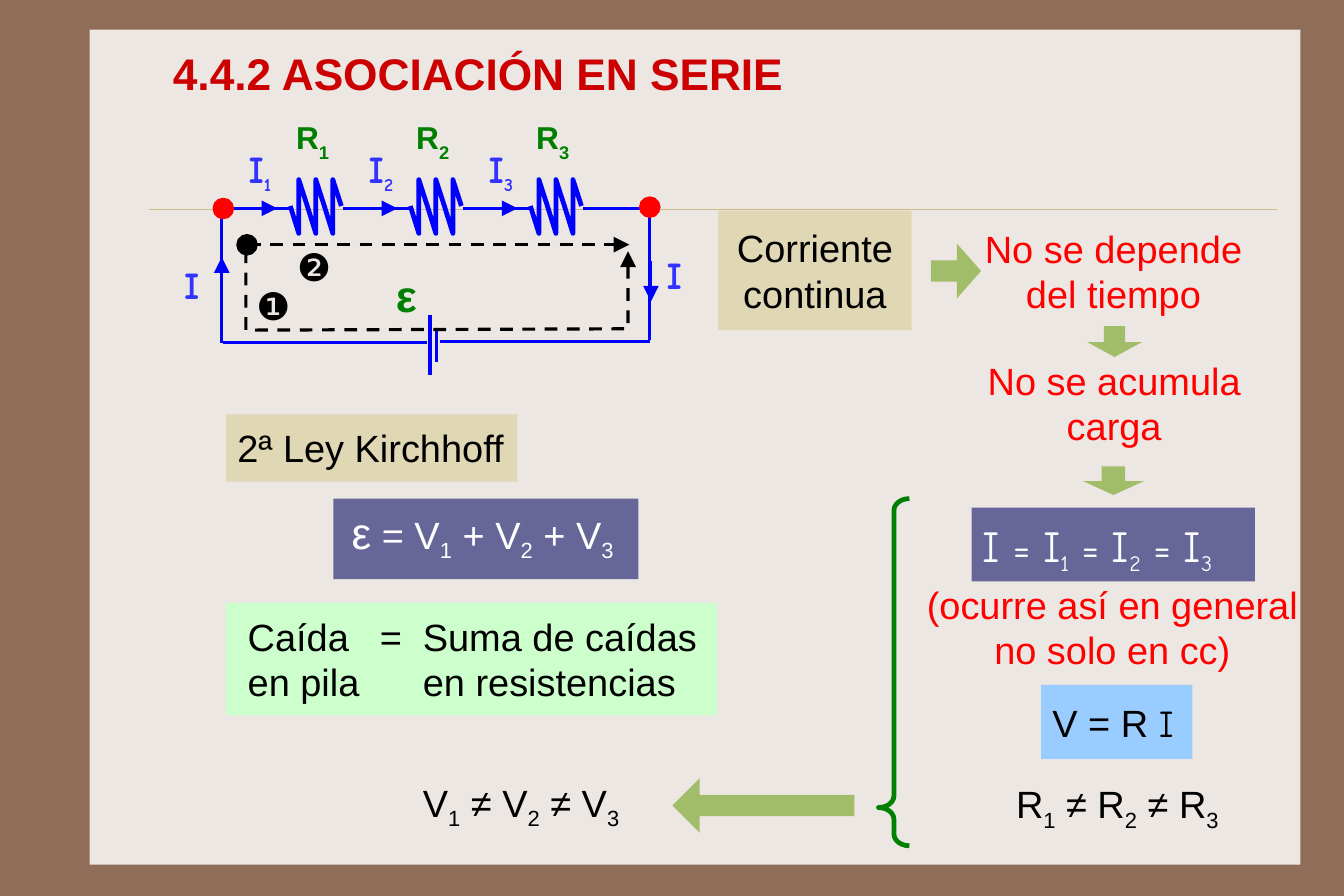
from dataclasses import dataclass
from typing import Optional

from lxml.etree import SubElement
from pptx import Presentation
from pptx.dml.color import RGBColor
from pptx.enum.dml import MSO_LINE_DASH_STYLE as Dash
from pptx.enum.shapes import MSO_CONNECTOR, MSO_SHAPE as Preset
from pptx.enum.text import MSO_ANCHOR as Anchor, MSO_AUTO_SIZE as AutoSize, PP_ALIGN as Align
from pptx.oxml.ns import qn
from pptx.util import Cm, Pt

BROWN = RGBColor(0x90, 0x6D, 0x58)
CREAM = RGBColor(0xED, 0xE7, 0xE3)
GOLD = RGBColor(0xCB, 0xBD, 0x83)
SAND = RGBColor(0xE0, 0xD7, 0xB5)
CRIMSON = RGBColor(0xCC, 0x00, 0x00)
RED = RGBColor(0xFF, 0x00, 0x00)
BLUE = RGBColor(0x00, 0x00, 0xFF)
CURRENT_BLUE = RGBColor(0x33, 0x33, 0xFF)
SKY = RGBColor(0x99, 0xCC, 0xFF)
SLATE = RGBColor(0x66, 0x66, 0x99)
MINT = RGBColor(0xCC, 0xFF, 0xCC)
OLIVE = RGBColor(0xA1, 0xBD, 0x69)
GREEN = RGBColor(0x00, 0x80, 0x00)
BLACK = RGBColor(0x00, 0x00, 0x00)
WHITE = RGBColor(0xFF, 0xFF, 0xFF)

SANS, COMIC = "Arial", "Comic Neue"
PITCH = 2.68  # distance between resistors
TOP_WIRE = 4.65


@dataclass
class Run:
    text: str
    size: int = 24
    face: str = SANS
    baseline: int = 0


@dataclass
class Label:
    box: tuple
    lines: list
    color: RGBColor = BLACK
    fill: Optional[RGBColor] = None
    bold: bool = False
    align: Align = Align.LEFT
    anchor: Anchor = Anchor.TOP
    wrap: bool = False
    grow: bool = True
    insets: tuple = (0.25, 0.23, 0.25, 0.23)
    tabs: tuple = ()


@dataclass
class Wire:
    start: tuple
    end: tuple
    color: RGBColor = BLUE
    width: float = 2
    arrow: bool = False
    dashed: bool = False


@dataclass
class Block:
    preset: Preset
    box: tuple
    adjustments: tuple


def terms(symbol: str, sign: str, size: int = 24, face: str = SANS) -> list:
    """Runs for a symbol with subscripts 1 to 3, joined by a sign."""
    runs = []
    for number in "123":
        if runs:
            runs.append(Run(f" {sign} ", 24, face))
        runs += [Run(symbol, size, face), Run(number, 24, face, -25000)]
    return runs


def write(frame, label: Label) -> None:
    left, top, right, bottom = map(Cm, label.insets)
    layout = dict(margin_left=left, margin_top=top, margin_right=right, margin_bottom=bottom,
                  word_wrap=label.wrap, vertical_anchor=label.anchor,
                  auto_size=AutoSize.SHAPE_TO_FIT_TEXT if label.grow else AutoSize.NONE)
    for name, value in layout.items():
        setattr(frame, name, value)
    for index, (line, tab) in enumerate(zip(label.lines, label.tabs or [()] * len(label.lines))):
        paragraph = frame.add_paragraph() if index else frame.paragraphs[0]
        paragraph.alignment = label.align
        if tab:
            stops = SubElement(paragraph._p.get_or_add_pPr(), qn("a:tabLst"))
            for position in tab:
                SubElement(stops, qn("a:tab"), pos=str(Cm(position)), algn="l")
        for part in line:
            run = paragraph.add_run()
            run.text = part.text
            for name, value in dict(name=part.face, size=Pt(part.size), bold=label.bold).items():
                setattr(run.font, name, value)
            run.font.color.rgb = label.color
            if part.baseline:
                run._r.get_or_add_rPr().set("baseline", str(part.baseline))


def add_label(slide, label: Label) -> None:
    if label.fill is None:
        shape = slide.shapes.add_textbox(*map(Cm, label.box))
    else:
        shape = add_filled(slide, Preset.RECTANGLE, label.box, label.fill)
    write(shape.text_frame, label)


def add_filled(slide, preset: Preset, box: tuple, color: RGBColor):
    shape = slide.shapes.add_shape(preset, *map(Cm, box))
    shape.shadow.inherit = False
    shape.fill.solid()
    shape.fill.fore_color.rgb = color
    shape.line.fill.background()
    return shape


def style_line(shape, color: RGBColor, width: float, arrow: bool = False, dashed: bool = False) -> None:
    shape.line.color.rgb = color
    shape.line.width = Pt(width)
    if dashed:
        shape.line.dash_style = Dash.DASH
    if arrow:
        SubElement(shape.element.spPr.find(qn("a:ln")), qn("a:tailEnd"), type="triangle", w="lg", len="lg")


def add_wire(slide, wire: Wire) -> None:
    connector = slide.shapes.add_connector(MSO_CONNECTOR.STRAIGHT, *map(Cm, wire.start + wire.end))
    style_line(connector, wire.color, wire.width, wire.arrow, wire.dashed)
    SubElement(connector.element.spPr, qn("a:effectLst"))


def add_polyline(slide, points: list):
    (x, y), *rest = [(Cm(x), Cm(y)) for x, y in points]
    builder = slide.shapes.build_freeform(x, y)
    builder.add_line_segments(rest, close=False)
    shape = builder.convert_to_shape()
    shape.shadow.inherit = False
    shape.fill.background()
    return shape


def add_resistor(slide, left: float) -> None:
    points = [(left, 4.6)]
    for tooth in range(3):
        x = left + 0.38 * tooth
        points += [(x + 0.19, 5.21), (x + 0.19, 4.01), (x + 0.38, 4.6)]
    style_line(add_polyline(slide, points), BLUE, 3)


def add_circuit(slide) -> None:
    wires = [Wire((9.75, 7.34), (9.75, 8.08)), Wire((9.6, 7.04), (9.6, 8.38)),
             Wire((14.5, 7.62), (9.83, 7.62)), Wire((9.53, 7.65), (4.97, 7.65)),
             Wire((4.95, TOP_WIRE), (4.95, 7.65)), Wire((14.5, 4.6), (14.5, 7.6)),
             Wire((14.53, 5.82), (14.53, 6.73), width=1, arrow=True),
             Wire((4.95, 6.65), (4.95, 5.74), width=1, arrow=True),
             Wire((5.54, 5.46), (14.05, 5.46), BLACK, arrow=True, dashed=True)]
    for segment in range(4):
        left = 4.98 + PITCH * segment
        wires.append(Wire((left, TOP_WIRE), (left + 1.5, TOP_WIRE)))
    for index in range(3):
        shift = PITCH * index
        wires.append(Wire((5.26 + shift, TOP_WIRE), (6.19 + shift, TOP_WIRE), width=1, arrow=True))
        add_resistor(slide, 6.48 + shift)
        number = str(index + 1)
        add_label(slide, Label((6.36 + shift, 2.51, 1.4, 1.45),
                               [[Run("R", 20), Run(number, 20, SANS, -30000)]], GREEN,
                               bold=True, grow=False, insets=(0.25, 0.13, 0.25, 0.13)))
        add_label(slide, Label((5.3 + shift, 3.02, 1.09, 1.47),
                               [[Run("I", 24, COMIC), Run(number, 20, COMIC, -25000)]],
                               CURRENT_BLUE, bold=True, grow=False))
    for wire in wires:
        add_wire(slide, wire)
    for left, top in ((3.86, 5.61), (14.63, 5.38)):
        add_label(slide, Label((left, top, 0.84, 1.47), [[Run("I", 24, COMIC)]],
                               CURRENT_BLUE, bold=True, grow=False))
    add_label(slide, Label((8.59, 6.07, 0.94, 1.02), [[Run("ε", 28)]], GREEN, bold=True, grow=False,
                           anchor=Anchor.MIDDLE, insets=(0.25, 0.13, 0.25, 0.13)))
    lower_path = add_polyline(slide, [(5.49, 5.59), (5.49, 7.37), (14.02, 7.34), (14.02, 5.61)])
    style_line(lower_path, BLACK, 2, arrow=True, dashed=True)
    for left, top, color in ((14.3, 4.42, RED), (4.78, 4.45, RED), (5.31, 5.26, BLACK)):
        node = add_filled(slide, Preset.OVAL, (left, top, 0.41, 0.41), color)
        style_line(node, color, 2)


CENTRED = dict(align=Align.CENTER, wrap=True)
LABELS = [
    Label((22.43, 17.2, 5.13, 1.47), [terms("R", "≠")]),
    Label((23.24, 15.29, 3.38, 1.65), [[Run("V = R "), Run("I", 24, COMIC)]], fill=SKY, anchor=Anchor.MIDDLE),
    Label((9.19, 17.17, 5, 1.47), [terms("V", "≠")]),
    Label((21.69, 11.33, 6.32, 1.65), [[Run("I", 28, COMIC), Run(" = ", 24, COMIC), *terms("I", "=", 28, COMIC)]],
          WHITE, SLATE, grow=False),
    Label((21.54, 4.8, 6.63, 2.51), [[Run("No se depende del tiempo")]], RED, **CENTRED),
    Label((21.77, 7.75, 6.2, 2.51), [[Run("No se acumula carga")]], RED, **CENTRED),
    Label((20.37, 12.75, 8.92, 2.51), [[Run("(ocurre así en general no solo en cc)")]], RED, **CENTRED),
    Label((16.03, 4.7, 4.32, 2.67), [[Run("Corriente continua")]], fill=SAND, anchor=Anchor.MIDDLE,
          insets=(0.2, 0.3, 0.2, 0.3), **CENTRED),
    Label((5.05, 9.25, 6.5, 1.5), [[Run("2ª Ley Kirchhoff")]], fill=SAND),
    Label((7.44, 11.13, 6.81, 1.8), [[Run("ε", 28), Run(" = "), *terms("V", "+")]], WHITE, SLATE,
          anchor=Anchor.MIDDLE, insets=(0.41, 0.2, 0.41, 0.41)),
    Label((5.05, 13.46, 10.95, 2.51), [[Run("Caída\t=\tSuma de caídas")], [Run("en pila\ten resistencias")]],
          fill=MINT, wrap=True, insets=(0.48, 0.23, 0.25, 0.23), tabs=((2.95, 3.91), (3.91,))),
    Label((5.44, 6.07, 1.32, 1.5), [[Run("❶")]], **CENTRED),
    Label((6.35, 5.21, 1.32, 1.5), [[Run("❷")]], **CENTRED),
]
ARROWS = [
    Block(Preset.LEFT_ARROW, (15.01, 17.37, 4.06, 1.22), (0.39, 0.5)),
    Block(Preset.DOWN_ARROW, (24.18, 10.41, 1.35, 0.64), (0.39, 0.48)),
    Block(Preset.DOWN_ARROW, (24.27, 7.28, 1.22, 0.69), (0.39, 0.48)),
    Block(Preset.RIGHT_ARROW, (20.78, 5.44, 1.12, 1.22), (0.39, 0.48)),
]
BRACE = Block(Preset.LEFT_BRACE, (19.61, 11.13, 0.69, 7.75), (0.38, 0.89))


def add_block(slide, block: Block, color: RGBColor):
    shape = add_filled(slide, block.preset, block.box, color)
    for index, value in enumerate(block.adjustments):
        shape.adjustments[index] = value
    return shape


def main() -> None:
    deck = Presentation()
    deck.slide_width, deck.slide_height = Cm(30), Cm(20)
    slide = deck.slides.add_slide(deck.slide_layouts[5])
    slide.background.fill.solid()
    slide.background.fill.fore_color.rgb = BROWN
    add_filled(slide, Preset.RECTANGLE, (2, 0.66, 27.03, 18.64), CREAM)
    add_wire(slide, Wire((3.33, 4.67), (28.5, 4.67), GOLD, 0.25))

    title = slide.shapes.title
    title.element.getparent().append(title.element)  # in front of the panel
    heading = Label((3.58, 0.89, 23.67, 1.47), [[Run("4.4.2 ASOCIACIÓN EN SERIE", 28)]], CRIMSON, bold=True,
                    anchor=Anchor.MIDDLE, wrap=True, insets=(0.28, 0.13, 0.28, 0.13))
    for name, value in zip(("left", "top", "width", "height"), heading.box):
        setattr(title, name, Cm(value))
    write(title.text_frame, heading)

    add_circuit(slide)
    for arrow in ARROWS:
        add_block(slide, arrow, OLIVE)
    brace = add_block(slide, BRACE, GREEN)
    brace.fill.background()
    style_line(brace, GREEN, 3)
    for label in LABELS:
        add_label(slide, label)
    deck.save("out.pptx")


if __name__ == "__main__":
    main()
